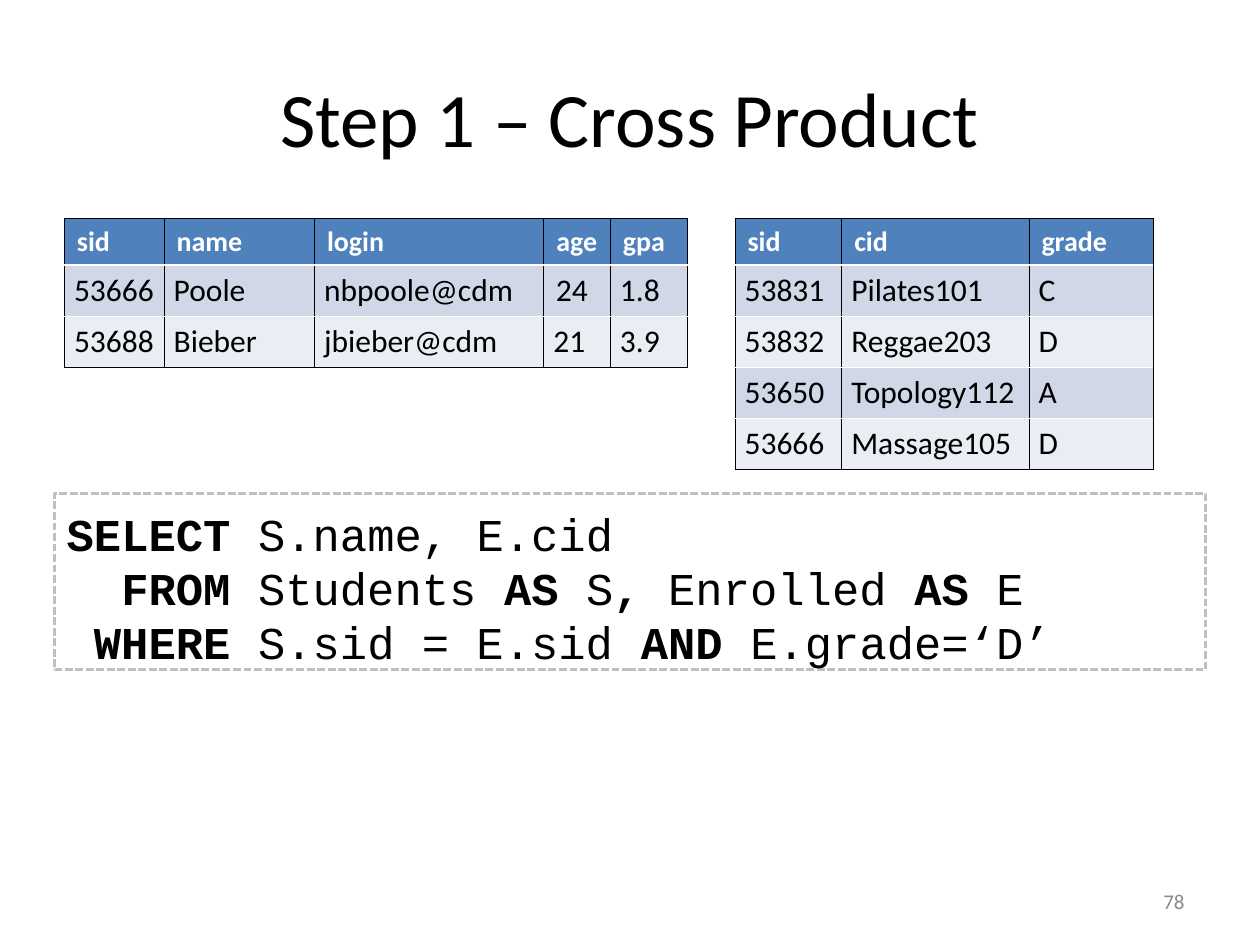
from lxml import etree
from pptx import Presentation
from pptx.dml.color import RGBColor
from pptx.enum import dml, shapes, text
from pptx.oxml.ns import qn
from pptx.util import Pt

BLACK, WHITE, GREY = "000000", "FFFFFF", "898989"
HEADER_FILL, BAND_FILLS = "4F81BD", ("D0D8E8", "E9EDF4")
HEADER_HEIGHT, ROW_HEIGHT = 26.4, 28.8
THIN, THICK = 0.45, 1.47
CODE_SIZE = 26
CODE_CHAR = CODE_SIZE * 0.6  # width of one monospaced character

STUDENTS = [
    ("sid", "name", "login", "age", "gpa"),
    ("53666", "Poole", "nbpoole@cdm", "24", "1.8"),
    ("53688", "Bieber", "jbieber@cdm", "21", "3.9"),
]
ENROLLED = [
    ("sid", "cid", "grade"),
    ("53831", "Pilates101", "C"),
    ("53832", "Reggae203", "D"),
    ("53650", "Topology112", "A"),
    ("53666", "Massage105", "D"),
]
# Indent in characters, then spans that alternate between bold and regular
QUERY = [
    (0, ["SELECT ", "S.name, E.cid"]),
    (2, ["FROM ", "Students", " AS ", "S", ", ", "Enrolled", " AS ", "E"]),
    (1, ["WHERE ", "S.sid = E.sid", " AND ", "E.grade=‘D’"]),
]


def color(value):
    return RGBColor.from_string(value)


def set_font(font, name, size, value, bold=False):
    font.name, font.size, font.bold = name, Pt(size), bold
    font.color.rgb = color(value)


def set_title(page, words):
    title = page.shapes.title
    title.left, title.top, title.width, title.height = Pt(36), Pt(21.6), Pt(648), Pt(90)
    title.text_frame.text = words
    set_font(title.text_frame.paragraphs[0].font, "Calibri", 44, BLACK)


def set_border(cell, side, value, width):
    line = etree.SubElement(cell._tc.get_or_add_tcPr(), qn(f"a:ln{side}"), w=str(Pt(width)))
    fill = etree.SubElement(line, qn("a:solidFill"))
    etree.SubElement(fill, qn("a:srgbClr"), val=value)


def format_cell(cell, row, last_row):
    header = row == 0
    # Black outer frame and columns, white rules between rows
    top = (BLACK, THIN) if header else (WHITE, THICK if row == 1 else THIN)
    bottom = (BLACK, THIN) if row == last_row else (WHITE, THICK if header else THIN)
    edges = {"L": (BLACK, THIN), "R": (BLACK, THIN), "T": top, "B": bottom}
    for side, (value, width) in edges.items():
        set_border(cell, side, value, width)
    cell.fill.solid()
    cell.fill.fore_color.rgb = color(HEADER_FILL if header else BAND_FILLS[(row - 1) % 2])
    cell.margin_left = cell.margin_right = Pt(7.2 if header else 5.5)
    cell.margin_top = cell.margin_bottom = Pt(3.6)
    set_font(cell.text_frame.paragraphs[0].font, "Calibri", 16 if header else 18,
             WHITE if header else BLACK, header)


def add_data_table(page, left, top, widths, records):
    heights = [HEADER_HEIGHT] + [ROW_HEIGHT] * (len(records) - 1)
    table = page.shapes.add_table(len(records), len(widths), Pt(left), Pt(top),
                                  Pt(sum(widths)), Pt(sum(heights))).table
    for column, width in zip(table.columns, widths):
        column.width = Pt(width)
    for row, (record, height) in enumerate(zip(records, heights)):
        table.rows[row].height = Pt(height)
        for column, value in enumerate(record):
            cell = table.cell(row, column)
            cell.text = value
            format_cell(cell, row, len(records) - 1)
    return table


def add_query_box(page, left, top, width, height):
    box = page.shapes.add_shape(shapes.MSO_SHAPE.RECTANGLE, Pt(left), Pt(top),
                                Pt(width), Pt(height))
    box.shadow.inherit = False
    box.fill.background()
    box.line.color.rgb = color("BFBFBF")
    box.line.width = Pt(1.5)
    box.line.dash_style = dml.MSO_LINE.SQUARE_DOT
    frame = box.text_frame
    frame.word_wrap = True
    frame.vertical_anchor = text.MSO_ANCHOR.TOP
    frame.margin_top, frame.margin_bottom = Pt(7), Pt(0)
    for number, (indent, spans) in enumerate(QUERY):
        para = frame.add_paragraph() if number else frame.paragraphs[0]
        para.alignment = text.PP_ALIGN.LEFT
        para.line_spacing = Pt(31.1)
        para._p.get_or_add_pPr().set("marL", str(Pt(indent * CODE_CHAR)))
        for position, words in enumerate(spans):
            span = para.add_run()
            span.text = words
            set_font(span.font, "Courier New", CODE_SIZE, BLACK, position % 2 == 0)


def add_page_number(page, number):
    box = page.shapes.add_textbox(Pt(516), Pt(500.4), Pt(168), Pt(28.8))
    frame = box.text_frame
    frame.word_wrap = True
    frame.vertical_anchor = text.MSO_ANCHOR.MIDDLE
    para = frame.paragraphs[0]
    para.text = number
    para.alignment = text.PP_ALIGN.RIGHT
    set_font(para.font, "Calibri", 12, GREY)


def main():
    deck = Presentation()
    deck.slide_width, deck.slide_height = Pt(720), Pt(540)
    page = deck.slides.add_slide(deck.slide_layouts[5])

    set_title(page, "Step 1 – Cross Product")
    add_query_box(page, 31, 282, 658, 100.8)

    # The two relations to be joined
    students = add_data_table(page, 36.8, 124.7, (57, 86, 131, 38, 44), STUDENTS)
    students.cell(1, 3).margin_left = Pt(7)
    add_data_table(page, 420, 124.7, (61, 107, 71), ENROLLED)

    add_page_number(page, "78")
    deck.save("out.pptx")


if __name__ == "__main__":
    main()
